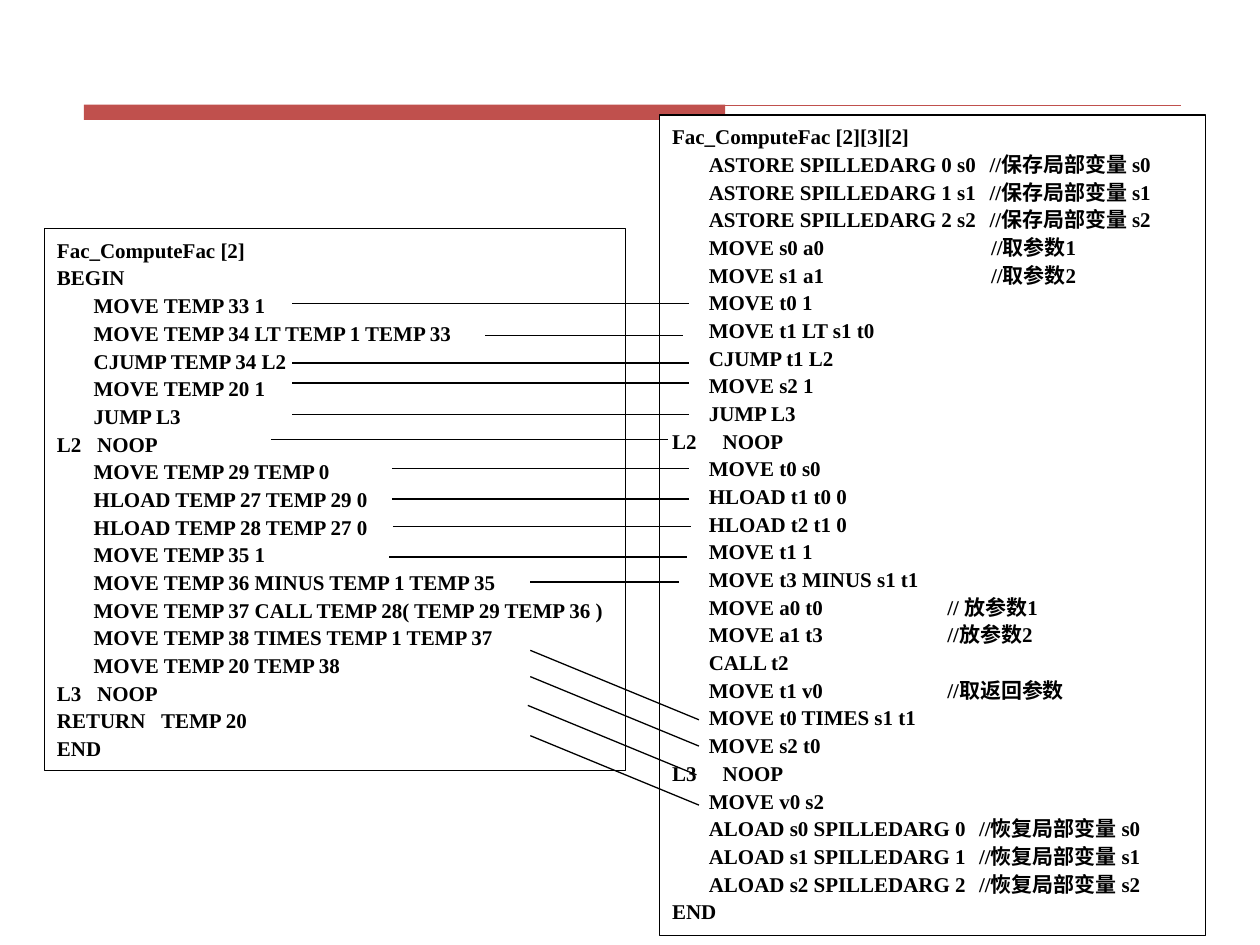
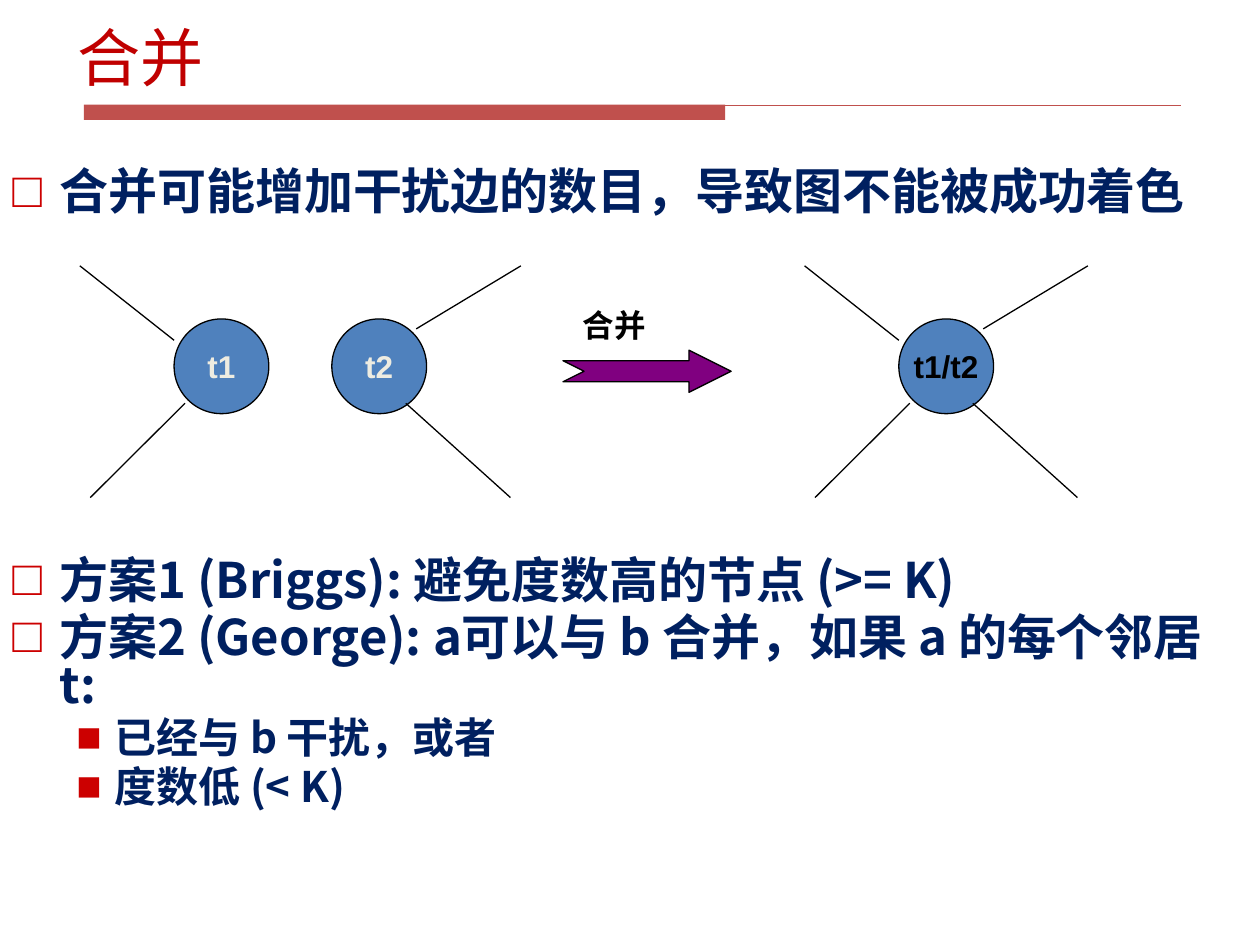
from lxml.etree import SubElement
from pptx import Presentation
from pptx.dml.color import RGBColor
from pptx.enum.shapes import MSO_CONNECTOR, MSO_SHAPE
from pptx.enum.text import MSO_ANCHOR, PP_ALIGN
from pptx.oxml.ns import qn
from pptx.util import Cm, Pt

HUES = {"ink": "000000", "paper": "FFFFFF", "band": "C0504D",
        "title": "C00000", "body": "002060", "mark": "CC0000",
        "node": "4F81BD", "pale": "EEECE1", "arrow": "800080"}
SERIF, SANS, HAN = "Times New Roman", "Arial", "Noto Sans CJK SC"

# Code listings: groups of (indent, tab stop, lines), in cm.
STEP = 0.74
TEMPS = [
    (0, 0, ["Fac_ComputeFac [2]", "BEGIN"]),
    (STEP, 0, ["MOVE TEMP 33 1", "MOVE TEMP 34 LT TEMP 1 TEMP 33",
               "CJUMP TEMP 34 L2", "MOVE TEMP 20 1", "JUMP L3"]),
    (0, 0.81, ["L2\tNOOP"]),
    (STEP, 0, ["MOVE TEMP 29 TEMP 0", "HLOAD TEMP 27 TEMP 29 0",
               "HLOAD TEMP 28 TEMP 27 0", "MOVE TEMP 35 1",
               "MOVE TEMP 36 MINUS TEMP 1 TEMP 35",
               "MOVE TEMP 37 CALL TEMP 28( TEMP 29 TEMP 36 )",
               "MOVE TEMP 38 TIMES TEMP 1 TEMP 37",
               "MOVE TEMP 20 TEMP 38"]),
    (0, 0.81, ["L3\tNOOP"]),
    (0, 2.1, ["RETURN\tTEMP 20"]),
    (0, 0, ["END"]),
]
REGS = [
    (0, 0, ["Fac_ComputeFac [2][3][2]"]),
    (STEP, 6.4, [f"ASTORE SPILLEDARG {n} s{n}\t//保存局部变量 s{n}"
                 for n in range(3)]),
    (STEP, 6.43, ["MOVE s0 a0\t//取参数1", "MOVE s1 a1\t//取参数2"]),
    (STEP, 0, ["MOVE t0 1", "MOVE t1 LT s1 t0", "CJUMP t1 L2",
               "MOVE s2 1", "JUMP L3"]),
    (0, 1.02, ["L2\tNOOP"]),
    (STEP, 0, ["MOVE t0 s0", "HLOAD t1 t0 0", "HLOAD t2 t1 0",
               "MOVE t1 1", "MOVE t3 MINUS s1 t1"]),
    (STEP, 5.55, ["MOVE a0 t0\t// 放参数1", "MOVE a1 t3\t//放参数2",
                  "CALL t2", "MOVE t1 v0\t//取返回参数"]),
    (STEP, 0, ["MOVE t0 TIMES s1 t1", "MOVE s2 t0"]),
    (0, 1.02, ["L3\tNOOP"]),
    (STEP, 0, ["MOVE v0 s2"]),
    (STEP, 6.19, [f"ALOAD s{n} SPILLEDARG {n}\t//恢复局部变量 s{n}"
                  for n in range(3)]),
    (0, 0, ["END"]),
]
LISTS = [((0.9, 4.61, 11.71, 10.92), TEMPS),
         ((13.3, 2.32, 11, 16.54), REGS)]

# Links between matching lines: level ones (x1, x2, y), then sloping starts.
LEVEL = [(5.89, 13.89, 6.12), (9.78, 13.77, 6.76), (5.89, 13.89, 7.32),
         (5.89, 13.89, 7.72), (5.89, 13.89, 8.36), (5.46, 13.46, 8.86),
         (7.9, 13.89, 9.45), (7.9, 13.89, 10.06), (7.92, 13.92, 10.62),
         (7.85, 13.84, 11.23), (10.69, 13.69, 11.73)]
SLOPED = [(10.69, 13.11), (10.69, 13.64), (10.64, 14.22), (10.69, 14.83)]
RUN, DROP = 3.4, 1.4

# Bullets: (level, points before, text); the wide gap holds the graph.
POINTS = [
    (0, 4.6, "合并可能增加干扰边的数目，导致图不能被成功着色"),
    (0, 194.3, "方案1 (Briggs): 避免度数高的节点 (>= K)"),
    (0, 5.1, "方案2 (George): a可以与 b 合并，如果 a 的每个邻居 t:"),
    (1, 4.3, "已经与 b 干扰，或者"),
    (1, 4.3, "度数低 (< K)"),
]
LEVELS = [("□", 28, 0.95, 0.95), ("■", 24, 2.06, 0.77)]

# Graph nodes: (left, label, colour, spokes); spokes start at the node's corner.
TOP, SIZE = 6.43, 1.91
LEFT = [(0.22, 1.7, -1.69, 3.6), (0, 0.43, -1.9, -1.07)]
RIGHT = [(1.49, 1.7, 3.6, 3.6), (1.7, 0.2, 3.81, -1.07)]
NODES = [(3.51, "t1", "pale", LEFT), (6.69, "t2", "pale", RIGHT),
         (18.12, "t1/t2", "ink", LEFT + RIGHT)]


def rgb(hue):
    """Look up a colour by name."""
    return RGBColor.from_string(HUES[hue])


def line(slide, x1, y1, x2, y2, hue="ink"):
    """Draw a thin straight line without shadow."""
    link = slide.shapes.add_connector(
        MSO_CONNECTOR.STRAIGHT, Cm(x1), Cm(y1), Cm(x2), Cm(y2))
    link.line.color.rgb = rgb(hue)
    link.line.width = Pt(0.75)
    SubElement(link._element.spPr, qn("a:effectLst"))


def shape(slide, kind, box, fill, edge="ink"):
    """Add a flat preset shape, outlined unless edge is None."""
    item = slide.shapes.add_shape(kind, *map(Cm, box))
    item.shadow.inherit = False
    item.fill.solid()
    item.fill.fore_color.rgb = rgb(fill)
    if edge:
        item.line.color.rgb = rgb(edge)
        item.line.width = Pt(0.75)
    else:
        item.line.fill.background()
    return item


def write(para, text, size, face, hue, bold=True):
    """Put text in a paragraph and style it, Chinese glyphs included."""
    para.text = text
    font = para.font
    font.size, font.bold, font.name = Pt(size), bold, face
    font.color.rgb = rgb(hue)
    props = para._p.pPr.find(qn("a:defRPr"))
    SubElement(props, qn("a:ea"), typeface=HAN)


def extend(para, *parts):
    """Add XML parts to paragraph properties, ahead of the font."""
    props = para._p.get_or_add_pPr()
    made = [SubElement(props, qn(tag), **attrs) for tag, attrs in parts]
    font = props.find(qn("a:defRPr"))
    for part in made:
        font.addprevious(part)
    return made


def paras(frame, count):
    """Return count paragraphs, the first one being already there."""
    return [frame.paragraphs[0]] + [frame.add_paragraph()
                                    for _ in range(count - 1)]


def text_box(slide, box, wrap=True):
    """Add a text box and return its frame."""
    frame = slide.shapes.add_textbox(*map(Cm, box)).text_frame
    frame.word_wrap = wrap
    return frame


def listing(slide, box, groups):
    """Draw a framed code listing; lines with columns indent by a tab."""
    frame = shape(slide, MSO_SHAPE.RECTANGLE, box, "paper").text_frame
    frame.word_wrap = True
    frame.vertical_anchor = MSO_ANCHOR.TOP
    rows = [(indent, tab, text) for indent, tab, texts in groups
            for text in texts]
    for para, (indent, tab, text) in zip(paras(frame, len(rows)), rows):
        split = "\t" in text
        lead = "\t" if split and indent else ""
        write(para, lead + text, 12, SERIF, "ink")
        para.alignment = PP_ALIGN.LEFT
        para.line_spacing = 1.1
        if split:
            stops, = extend(para, ("a:tabLst", {}))
            for stop in filter(None, (indent, tab)):
                SubElement(stops, qn("a:tab"), pos=str(Cm(stop)), algn="l")
        elif indent:
            para._p.pPr.set("marL", str(Cm(indent)))


def bullets(slide, box):
    """Write the bulleted points."""
    frame = text_box(slide, box)
    for para, (level, gap, text) in zip(paras(frame, len(POINTS)), POINTS):
        mark, size, left, hang = LEVELS[level]
        write(para, text, size, HAN, "body")
        para.level = level
        para.line_spacing = 0.82
        para.space_before = Pt(gap)
        para._p.pPr.set("marL", str(Cm(left)))
        para._p.pPr.set("indent", str(-Cm(hang)))
        tint, _, _ = extend(para, ("a:buClr", {}),
                            ("a:buFont", {"typeface": SANS}),
                            ("a:buChar", {"char": mark}))
        SubElement(tint, qn("a:srgbClr"), val=HUES["mark"])


def node(slide, left, label, hue, spokes):
    """Draw a graph node with its edges."""
    disc = shape(slide, MSO_SHAPE.OVAL, (left, TOP, SIZE, SIZE), "node")
    frame = disc.text_frame
    frame.word_wrap = False
    frame.vertical_anchor = MSO_ANCHOR.MIDDLE
    write(frame.paragraphs[0], label, 18, SANS, hue)
    frame.paragraphs[0].alignment = PP_ALIGN.CENTER
    for x1, y1, x2, y2 in spokes:
        line(slide, left + x1, TOP + y1, left + x2, TOP + y2)


def page(deck, title=None):
    """Start a slide with the shared band and, if given, a title."""
    slide = deck.slides.add_slide(deck.slide_layouts[6])
    shape(slide, MSO_SHAPE.RECTANGLE, (1.69, 2.11, 12.93, 0.31), "band", None)
    line(slide, 1.69, 2.12, 23.8, 2.12, "band")
    if title:
        frame = text_box(slide, (1.31, 0, 22.83, 2.26))
        frame.vertical_anchor = MSO_ANCHOR.MIDDLE
        write(frame.paragraphs[0], title, 36, HAN, "title", False)
    return slide


def code_page(deck):
    """Build the slide that matches the two listings."""
    slide = page(deck)
    for box, groups in LISTS:
        listing(slide, box, groups)
    for x1, x2, y in LEVEL:
        line(slide, x1, y, x2, y)
    for x, y in SLOPED:
        line(slide, x, y, x + RUN, y + DROP)


def merge_page(deck):
    """Build the slide on merging graph nodes."""
    slide = page(deck, "合并")
    bullets(slide, (0, 3.33, 25.1, 13.59))
    for item in NODES:
        node(slide, *item)
    arrow = shape(slide, MSO_SHAPE.NOTCHED_RIGHT_ARROW,
                  (11.35, 7.06, 3.39, 0.85), "arrow")
    arrow.adjustments[0], arrow.adjustments[1] = 0.5, 1
    label = text_box(slide, (11.5, 6.05, 1.78, 1.02), False)
    write(label.paragraphs[0], "合并", 18, SANS, "ink")


deck = Presentation()
deck.slide_width, deck.slide_height = Cm(25.4), Cm(19.05)
code_page(deck)
merge_page(deck)
deck.save("out.pptx")
